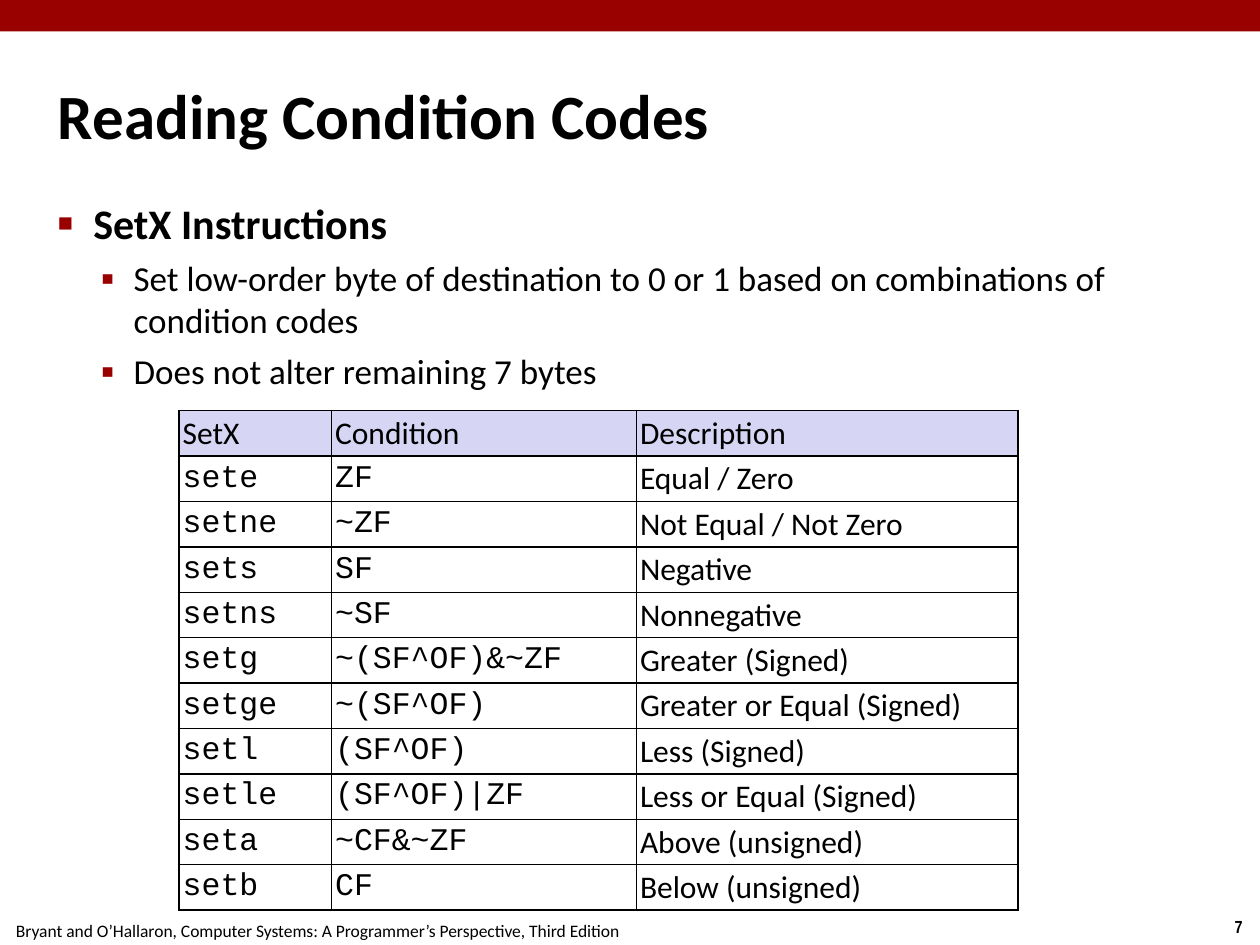
from dataclasses import dataclass

import lxml.etree
import pptx
import pptx.dml.color
import pptx.enum.shapes
import pptx.enum.text
import pptx.oxml.ns
import pptx.util

Inches = pptx.util.Inches
Anchor = pptx.enum.text.MSO_ANCHOR
Align = pptx.enum.text.PP_ALIGN


@dataclass(frozen=True)
class Theme:
    ink: str = "000000"
    accent: str = "990000"
    header: str = "D6D6F4"
    sans: str = "Calibri"
    code: str = "Courier New"
    narrow: str = "Arial Narrow"
    title: int = 36
    heading: int = 24
    point: int = 20
    cell: int = 18
    small: int = 10


def rgb(value):
    return pptx.dml.color.RGBColor.from_string(value)


def add_xml(parent, tag, **attributes):
    return lxml.etree.SubElement(parent, pptx.oxml.ns.qn(tag), attributes)


class SlideBuilder:
    """Draw styled elements on the current slide."""

    def __init__(self, page, theme):
        self.page = page
        self.theme = theme

    def style(self, para, size, face=None, bold=False):
        font = para.font
        font.size = pptx.util.Pt(size)
        font.name = face or self.theme.sans
        font.bold = bold
        font.color.rgb = rgb(self.theme.ink)

    def place(self, holder, left, top, width, height, anchor):
        holder.left, holder.top = Inches(left), Inches(top)
        holder.width, holder.height = Inches(width), Inches(height)
        frame = holder.text_frame
        frame.auto_size = pptx.enum.text.MSO_AUTO_SIZE.NONE
        frame.vertical_anchor = anchor
        frame.margin_left = frame.margin_right = Inches(0.04)
        frame.margin_top = frame.margin_bottom = Inches(0.04)
        return frame

    def bar(self, left, top, width, height):
        box = self.page.shapes.add_shape(
            pptx.enum.shapes.MSO_SHAPE.RECTANGLE,
            Inches(left), Inches(top), Inches(width), Inches(height))
        box.shadow.inherit = False
        box.fill.solid()
        box.fill.fore_color.rgb = rgb(self.theme.accent)
        box.line.fill.background()

    def title(self, text, *area):
        frame = self.place(self.page.shapes.title, *area, Anchor.MIDDLE)
        frame.text = text
        para = frame.paragraphs[0]
        para.alignment = Align.LEFT
        self.style(para, self.theme.title, bold=True)

    def bullet(self, para, symbol, scale, margin, hanging):
        properties = para._p.get_or_add_pPr()
        properties.set("marL", str(Inches(margin)))
        properties.set("indent", str(-Inches(hanging)))
        color = add_xml(properties, "a:buClr")
        add_xml(color, "a:srgbClr", val=self.theme.accent)
        add_xml(properties, "a:buSzPct", val=str(scale * 1000))
        add_xml(properties, "a:buChar", char=symbol)

    def outline(self, heading, points, *area):
        frame = self.place(self.page.placeholders[1], *area, Anchor.TOP)
        para = frame.paragraphs[0]
        para.text = heading
        para.space_before = pptx.util.Pt(0)
        self.bullet(para, "■", 60, 0.28, 0.28)
        self.style(para, self.theme.heading, bold=True)
        for point in points:
            para = frame.add_paragraph()
            para.text = point
            para.level = 1
            para.space_before = pptx.util.Pt(5)
            self.bullet(para, "▪", 110, 0.6, 0.26)
            self.style(para, self.theme.point)

    def label(self, text, left, top, width, height, face=None, bold=False):
        box = self.page.shapes.add_textbox(
            Inches(left), Inches(top), Inches(width), Inches(height))
        box.text_frame.word_wrap = False
        para = box.text_frame.paragraphs[0]
        para.text = text
        para.alignment = Align.CENTER
        self.style(para, self.theme.small, face, bold)

    def border(self, cell):
        properties = cell._tc.get_or_add_tcPr()
        for side in ("a:lnL", "a:lnR", "a:lnT", "a:lnB"):
            line = add_xml(properties, side, w=str(pptx.util.Pt(1)))
            fill = add_xml(line, "a:solidFill")
            add_xml(fill, "a:srgbClr", val=self.theme.ink)

    def cell(self, cell, text, face, is_header):
        cell.text = text
        cell.vertical_anchor = Anchor.MIDDLE
        cell.margin_left = cell.margin_right = Inches(0.03)
        cell.margin_top = cell.margin_bottom = Inches(0.03)
        self.border(cell)
        if is_header:
            cell.fill.solid()
            cell.fill.fore_color.rgb = rgb(self.theme.header)
        else:
            cell.fill.background()
        self.style(cell.text_frame.paragraphs[0], self.theme.cell, face)

    def table(self, rows, left, top, widths, row_height):
        table = self.page.shapes.add_table(
            len(rows), len(widths), Inches(left), Inches(top),
            Inches(sum(widths)), Inches(row_height * len(rows))).table
        table.first_row = table.horz_banding = False
        for column, width in zip(table.columns, widths):
            column.width = Inches(width)
        for row_index, row in enumerate(rows):
            table.rows[row_index].height = Inches(row_height)
            for column_index, text in enumerate(row):
                is_code = row_index > 0 and column_index < 2
                face = self.theme.code if is_code else self.theme.sans
                self.cell(table.cell(row_index, column_index), text, face, row_index == 0)


CONDITIONS = [
    ("SetX", "Condition", "Description"),
    ("sete", "ZF", "Equal / Zero"),
    ("setne", "~ZF", "Not Equal / Not Zero"),
    ("sets", "SF", "Negative"),
    ("setns", "~SF", "Nonnegative"),
    ("setg", "~(SF^OF)&~ZF", "Greater (Signed)"),
    ("setge", "~(SF^OF)", "Greater or Equal (Signed)"),
    ("setl", "(SF^OF)", "Less (Signed)"),
    ("setle", "(SF^OF)|ZF", "Less or Equal (Signed)"),
    ("seta", "~CF&~ZF", "Above (unsigned)"),
    ("setb", "CF", "Below (unsigned)"),
]


def main():
    deck = pptx.Presentation()
    deck.slide_width, deck.slide_height = Inches(10), Inches(7.5)
    theme = Theme()
    builder = SlideBuilder(deck.slides.add_slide(deck.slide_layouts[1]), theme)
    builder.label("7", 9.66, 7.22, 0.34, 0.27, theme.narrow, bold=True)
    builder.label(
        "Bryant and O’Hallaron, Computer Systems: A Programmer’s Perspective, Third Edition",
        -0.02, 7.25, 5.08, 0.27)
    builder.bar(0, 0, 10, 0.25)
    builder.title("Reading Condition Codes", 0.42, 0.28, 9.17, 1.25)
    builder.outline(
        "SetX Instructions",
        ["Set low-order byte of destination to 0 or 1 based on combinations of condition codes",
         "Does not alter remaining 7 bytes"],
        0.42, 1.53, 9.17, 5.94)
    builder.table(CONDITIONS, 1.42, 3.26, [1.21, 2.42, 3.03], 0.36)
    deck.save("out.pptx")


if __name__ == "__main__":
    main()
